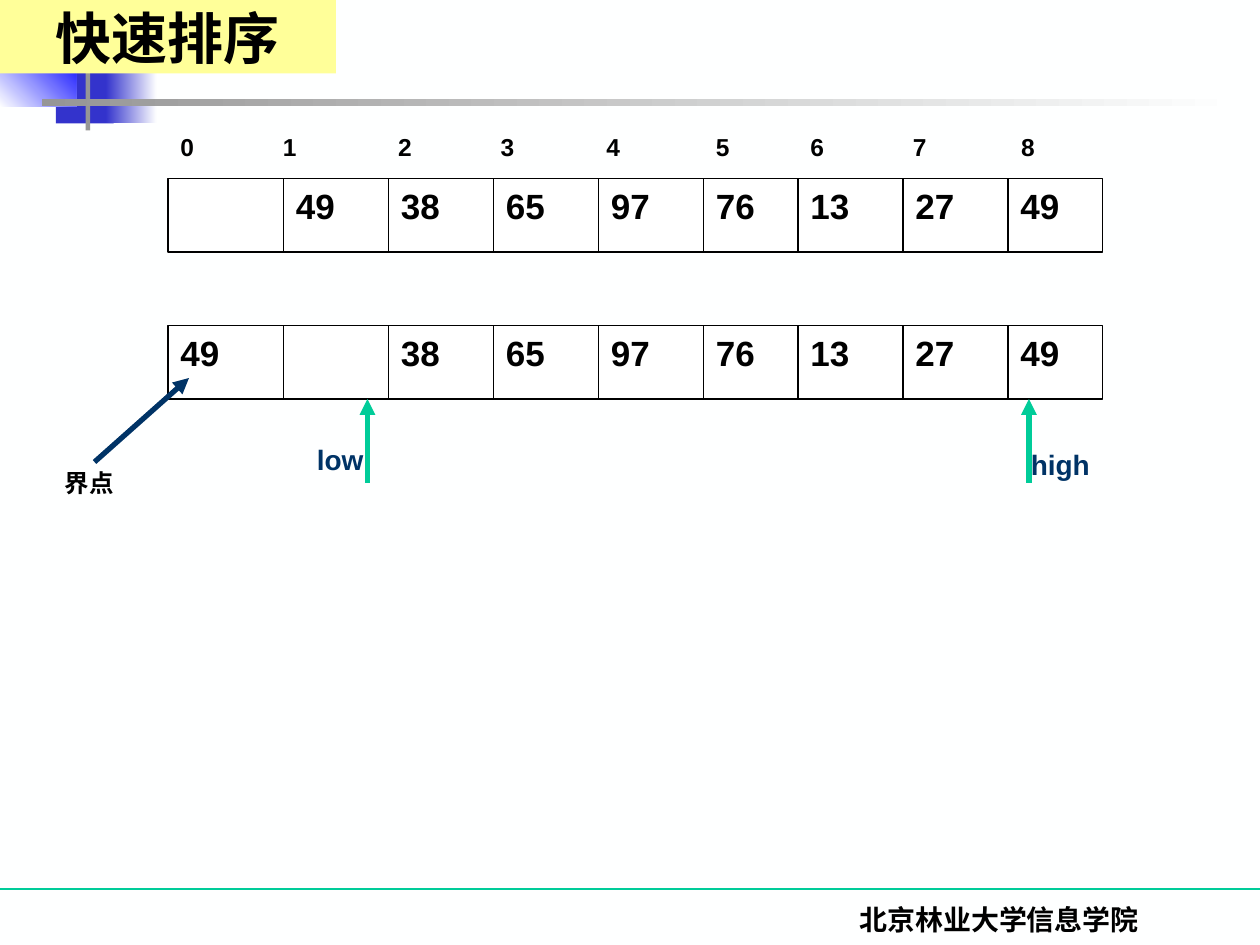
import itertools

import pptx
import pptx.dml.color
import pptx.enum.shapes
import pptx.enum.text
import pptx.oxml
import pptx.oxml.ns
import pptx.util

Pt = pptx.util.Pt
ALIGN = pptx.enum.text.PP_ALIGN
ANCHOR = pptx.enum.text.MSO_ANCHOR

COLORS = {
    "background": "FEFFFF",
    "white": "FFFFFF",
    "black": "000000",
    "navy": "003366",
    "green": "00CC99",
    "indigo": "3333CC",
    "blue": "0000FF",
    "gray": "969696",
    "yellow": "FFFF99",
}

CELL_WIDTHS = [66, 60, 60, 60, 60, 54, 60, 60, 54]
CELL_EDGES = list(itertools.accumulate(CELL_WIDTHS, initial=96))
ARRAY_WIDTH = sum(CELL_WIDTHS)
ARRAY_HEIGHT = 42
INDEX_TABS = [58.5, 124.5, 183, 243.5, 306, 360, 418.5, 480.5]


def rgb(name):
    return pptx.dml.color.RGBColor.from_string(COLORS[name])


def add_element(parent, tag, **attributes):
    element = pptx.oxml.parse_xml(f"<{tag} {pptx.oxml.ns.nsdecls('a')}/>")
    for name, value in attributes.items():
        element.set(name, str(value))
    parent.append(element)
    return element


def write_text(frame, text, size, font="Arial", color="black",
               align=ALIGN.LEFT, anchor=ANCHOR.TOP, tabs=()):
    frame.word_wrap = True
    frame.vertical_anchor = anchor
    paragraph = frame.paragraphs[0]
    paragraph.text = text
    paragraph.alignment = align
    if tabs:
        tab_list = add_element(paragraph._p.get_or_add_pPr(), "a:tabLst")
        for position in tabs:
            add_element(tab_list, "a:tab", pos=int(Pt(position)), algn="l")
    run_font = paragraph.runs[0].font
    run_font.name = font
    run_font.size = Pt(size)
    run_font.bold = True
    run_font.color.rgb = rgb(color)


def add_label(slide, text, left, top, width, height, **text_format):
    box = slide.shapes.add_textbox(Pt(left), Pt(top), Pt(width), Pt(height))
    write_text(box.text_frame, text, **text_format)


def add_rectangle(slide, left, top, width, height, fill, fade_to=None, angle=0, line=None):
    shape = slide.shapes.add_shape(
        pptx.enum.shapes.MSO_SHAPE.RECTANGLE, Pt(left), Pt(top), Pt(width), Pt(height))
    shape.shadow.inherit = False
    if fade_to:
        shape.fill.gradient()
        shape.fill.gradient_angle = angle
        for stop, color, position in zip(shape.fill.gradient_stops, (fill, fade_to), (0, 1)):
            stop.color.rgb = rgb(color)
            stop.position = position
    else:
        shape.fill.solid()
        shape.fill.fore_color.rgb = rgb(fill)
    if line:
        shape.line.color.rgb = rgb(line)
        shape.line.width = Pt(0.75)
    else:
        shape.line.fill.background()
    return shape


def add_line(slide, start, end, color, width=0.75, arrow=False):
    connector = slide.shapes.add_connector(
        pptx.enum.shapes.MSO_CONNECTOR.STRAIGHT,
        Pt(start[0]), Pt(start[1]), Pt(end[0]), Pt(end[1]))
    connector.line.color.rgb = rgb(color)
    connector.line.width = Pt(width)
    if arrow:
        add_element(connector.line._get_or_add_ln(), "a:tailEnd", type="triangle")
    add_element(connector._element.spPr, "a:effectLst")


def add_array(slide, top, values):
    add_rectangle(slide, CELL_EDGES[0], top, ARRAY_WIDTH, ARRAY_HEIGHT, "white", line="black")
    for edge in CELL_EDGES[1:-1]:
        add_line(slide, (edge, top), (edge, top + ARRAY_HEIGHT), "black")
    for edge, value in zip(CELL_EDGES, values):
        if value:
            add_label(slide, value, edge, top, 48, 31.5, size=20)


def add_decoration(slide):
    add_line(slide, (0, 508), (720, 508), "green")
    add_rectangle(slide, 32, 33, 33, 37.5, "indigo")
    add_rectangle(slide, 60.5, 33, 29, 37.5, "indigo", fade_to="background")
    add_rectangle(slide, 0, 27.5, 43.5, 33.5, "background", fade_to="blue", angle=45)
    add_rectangle(slide, 49, 0, 2.5, 74.5, "gray")
    add_rectangle(slide, 24, 56.5, 684.5, 4, "gray", fade_to="background")
    add_label(slide, "北京林业大学信息学院", 422, 512, 298, 28,
              size=16, font="Times New Roman", align=ALIGN.CENTER)


def add_title(slide, text):
    banner = add_rectangle(slide, 0, 0, 192, 42, "yellow")
    write_text(banner.text_frame, text, size=32, font="Times New Roman",
               align=ALIGN.CENTER, anchor=ANCHOR.MIDDLE)


def add_pointer(slide, text, arrow_x, label_left, label_top):
    add_line(slide, (arrow_x, 276), (arrow_x, 228), "green", width=3, arrow=True)
    add_label(slide, text, label_left, label_top, 66, 26.5, size=16, color="navy")


def main():
    presentation = pptx.Presentation()
    presentation.slide_width = Pt(720)
    presentation.slide_height = Pt(540)
    slide = presentation.slides.add_slide(presentation.slide_layouts[6])
    slide.background.fill.solid()
    slide.background.fill.fore_color.rgb = rgb("background")

    add_decoration(slide)
    add_label(slide, "\t".join(str(index) for index in range(9)),
              CELL_EDGES[0], 72, ARRAY_WIDTH, 24.5, size=14, tabs=INDEX_TABS)
    add_array(slide, 102, ["", "49", "38", "65", "97", "76", "13", "27", "49"])
    add_array(slide, 186, ["49", "", "38", "65", "97", "76", "13", "27", "49"])
    add_pointer(slide, "high", 588, 582, 252)
    add_pointer(slide, "low", 210, 174, 249.5)
    add_label(slide, "界点", 30, 264, 60, 24.5, size=14)
    add_line(slide, (54, 264), (108, 216), "navy", width=3, arrow=True)
    add_title(slide, "快速排序")

    presentation.save("out.pptx")


if __name__ == "__main__":
    main()
